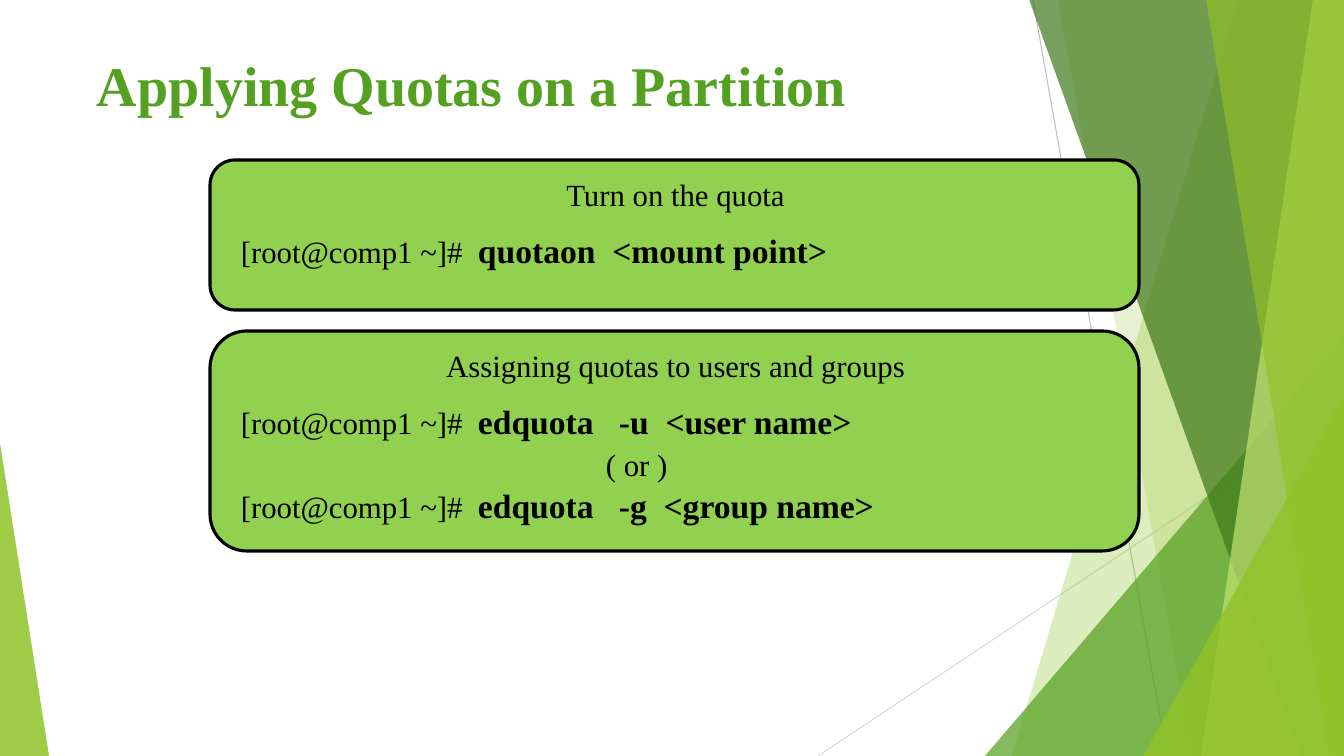
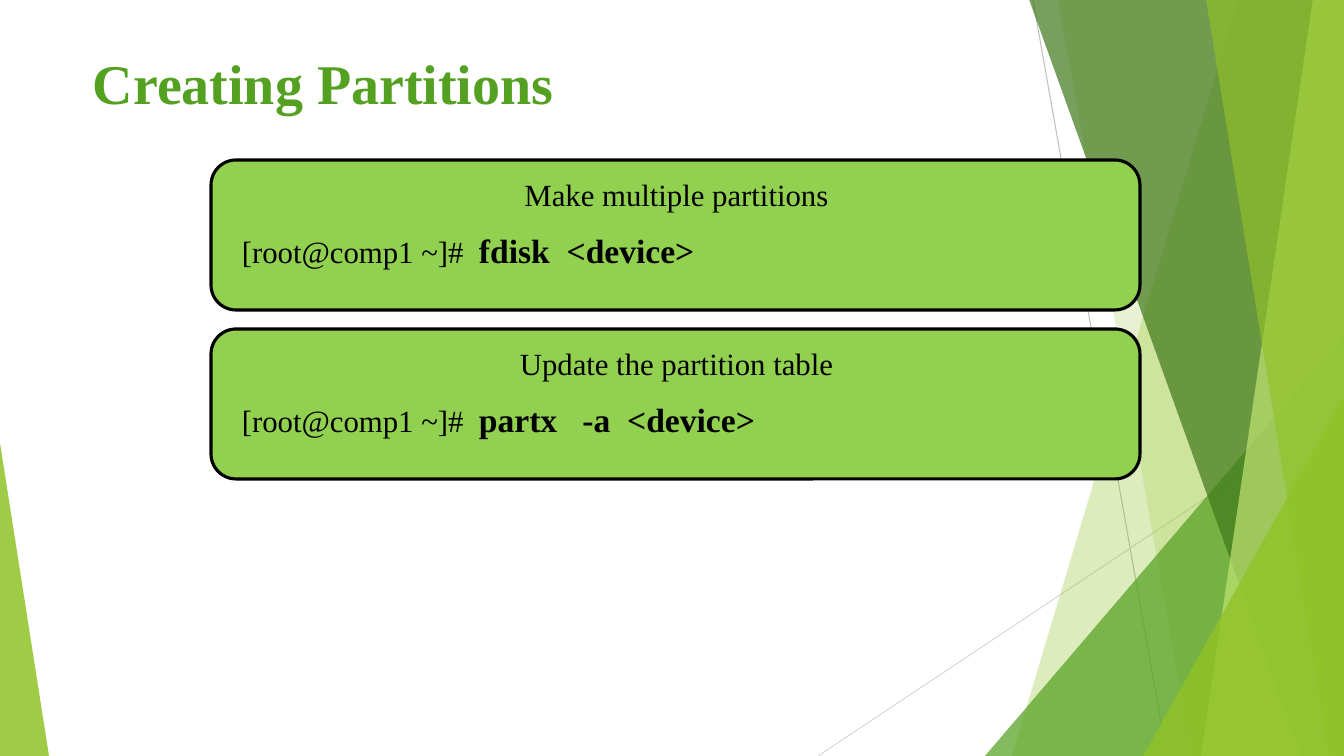
from dataclasses import dataclass

from lxml import etree
from pptx import Presentation
from pptx import util as u
from pptx.dml.color import RGBColor
from pptx.enum import shapes, text
from pptx.oxml.ns import qn

SLIDE_W, SLIDE_H = 1344, 756
PX = 12192000 / SLIDE_W
FONT = "Times New Roman"
PROMPT = "[root@comp1 ~]#  "
COLORS = {
    "lime": "90C226", "green": "54A021", "forest": "3F7819", "pale": "C0E474",
    "card": "92D050", "ink": "000000", "grey": "BFBFBF", "silver": "D9D9D9",
}


@dataclass(frozen=True)
class Ray:
    """A thin line of the backdrop."""
    start: tuple[int, int]
    end: tuple[int, int]
    color: str


@dataclass(frozen=True)
class Band:
    """A slanted strip reaching the right edge of the slide."""
    top_x: int
    bottom_x: int
    color: str
    opacity: int


@dataclass(frozen=True)
class Wedge:
    """A right triangle standing on the bottom edge; apex 0 is left, 1 right."""
    left: int
    top: int
    width: int
    apex: int
    color: str
    opacity: int


@dataclass(frozen=True)
class Line:
    words: str
    prompted: bool = True
    indent: int = 0


@dataclass(frozen=True)
class Card:
    top: int
    heading: str
    lines: tuple[Line, ...]
    height: int = 150
    lines_width: int = 891


@dataclass(frozen=True)
class Page:
    title: str
    title_at: tuple[int, int]
    cards_left: int
    cards: tuple[Card, ...]


BACKDROP = (
    Ray((1033, 0), (1167, SLIDE_H), "grey"),
    Ray((SLIDE_W, 406), (818, SLIDE_H), "silver"),
    Band(1238, 1012, "lime", 30),
    Band(1058, 1192, "lime", 20),
    Wedge(985, 336, 359, 1, "green", 72),
    Band(1029, 1301, "forest", 70),
    Band(1313, 1201, "pale", 70),
    Band(1206, 1329, "lime", 65),
    Wedge(1143, 396, 201, 1, "lime", 80),
    Wedge(0, 443, 49, 0, "lime", 85),
)

PAGES = (
    Page("Applying Quotas on a Partition", (87, 46), 210, (
        Card(160, "Turn on the quota", (Line("quotaon  <mount point>"),)),
        Card(331, "Assigning quotas to users and groups", (
            Line("edquota   -u  <user name>"),
            Line("( or )", prompted=False, indent=365),
            Line("edquota   -g  <group name>"),
        ), height=220, lines_width=659),
    )),
    Page("Creating Partitions", (83, 44), 211, (
        Card(160, "Make multiple partitions", (Line("fdisk  <device>"),)),
        Card(329, "Update the partition table", (Line("partx   -a  <device>"),)),
    )),
)


def px(length: float) -> u.Emu:
    return u.Emu(round(length * PX))


def rgb(color: str) -> RGBColor:
    return RGBColor.from_string(COLORS[color])


def paint(shape, color: str, opacity: int = 100) -> None:
    """Give a flat, borderless fill."""
    shape.shadow.inherit = False
    shape.fill.solid()
    shape.fill.fore_color.rgb = rgb(color)
    shape.line.fill.background()
    if opacity < 100:
        tint = shape.fill._xPr.find(f".//{qn('a:srgbClr')}")
        etree.SubElement(tint, qn("a:alpha"), val=str(opacity * 1000))


def add_run(paragraph, words: str, size: int, color: str = "ink", bold: bool = False) -> None:
    run = paragraph.add_run()
    run.text = words
    run.font.name, run.font.size, run.font.bold = FONT, u.Pt(size), bold
    run.font.color.rgb = rgb(color)


def add_box(target, kind, left: int, top: int, width: int, height: int):
    return target.add_shape(kind, px(left), px(top), px(width), px(height))


def add_ray(target, ray: Ray) -> None:
    line = target.add_connector(shapes.MSO_CONNECTOR.STRAIGHT,
                                *map(px, ray.start + ray.end))
    line.line.color.rgb = rgb(ray.color)
    line.line.width = u.Pt(0.75)
    etree.SubElement(line._element.spPr, qn("a:effectLst"))


def add_band(target, band: Band) -> None:
    outline = target.build_freeform(band.top_x, -1, scale=PX)
    outline.add_line_segments(
        [(SLIDE_W, -1), (SLIDE_W, SLIDE_H), (band.bottom_x, SLIDE_H)], close=True)
    paint(outline.convert_to_shape(), band.color, band.opacity)


def add_wedge(target, wedge: Wedge) -> None:
    triangle = add_box(target, shapes.MSO_SHAPE.ISOSCELES_TRIANGLE, wedge.left,
                       wedge.top, wedge.width, SLIDE_H - wedge.top)
    triangle.adjustments[0] = wedge.apex
    paint(triangle, wedge.color, wedge.opacity)


def add_backdrop(slide) -> None:
    draw = {Ray: add_ray, Band: add_band, Wedge: add_wedge}
    group = slide.shapes.add_group_shape().shapes
    for part in BACKDROP:
        draw[type(part)](group, part)


def add_title(slide, page: Page) -> None:
    left, top = page.title_at
    title = slide.shapes.add_textbox(px(left), px(top), px(948), px(145)).text_frame
    title.word_wrap = True
    add_run(title.paragraphs[0], page.title, 40, "green", bold=True)


def add_panel(target, left: int, top: int, width: int, height: int):
    """Add a borderless text panel in the card's colour and return its frame."""
    panel = add_box(target, shapes.MSO_SHAPE.RECTANGLE, left, top, width, height)
    paint(panel, "card")
    frame = panel.text_frame
    frame.word_wrap = True
    frame.auto_size = text.MSO_AUTO_SIZE.SHAPE_TO_FIT_TEXT
    frame.vertical_anchor = text.MSO_ANCHOR.TOP
    return frame


def add_card(slide, left: int, card: Card) -> None:
    group = slide.shapes.add_group_shape().shapes
    border = add_box(group, shapes.MSO_SHAPE.ROUNDED_RECTANGLE,
                     left, card.top, 929, card.height)
    paint(border, "card")
    border.line.color.rgb = rgb("ink")
    border.line.width = u.Pt(2.25)

    heading = add_panel(group, left + 20, card.top + 11, 891, 47).paragraphs[0]
    heading.alignment = text.PP_ALIGN.CENTER
    add_run(heading, card.heading, 22)

    commands = add_panel(group, left + 21, card.top + 63, card.lines_width,
                         10 + 42 * len(card.lines))
    for index, line in enumerate(card.lines):
        paragraph = commands.add_paragraph() if index else commands.paragraphs[0]
        paragraph.alignment = text.PP_ALIGN.LEFT
        paragraph.line_spacing = u.Pt(30)
        if line.indent:
            paragraph._p.get_or_add_pPr().set("marL", str(px(line.indent)))
        if line.prompted:
            add_run(paragraph, PROMPT, 22)
        add_run(paragraph, line.words, 24 if line.prompted else 22, bold=line.prompted)


def main() -> None:
    deck = Presentation()
    deck.slide_width, deck.slide_height = px(SLIDE_W), px(SLIDE_H)
    for page in PAGES:
        slide = deck.slides.add_slide(deck.slide_layouts[6])
        add_backdrop(slide)
        add_title(slide, page)
        for card in page.cards:
            add_card(slide, page.cards_left, card)
    deck.save("out.pptx")


if __name__ == "__main__":
    main()
